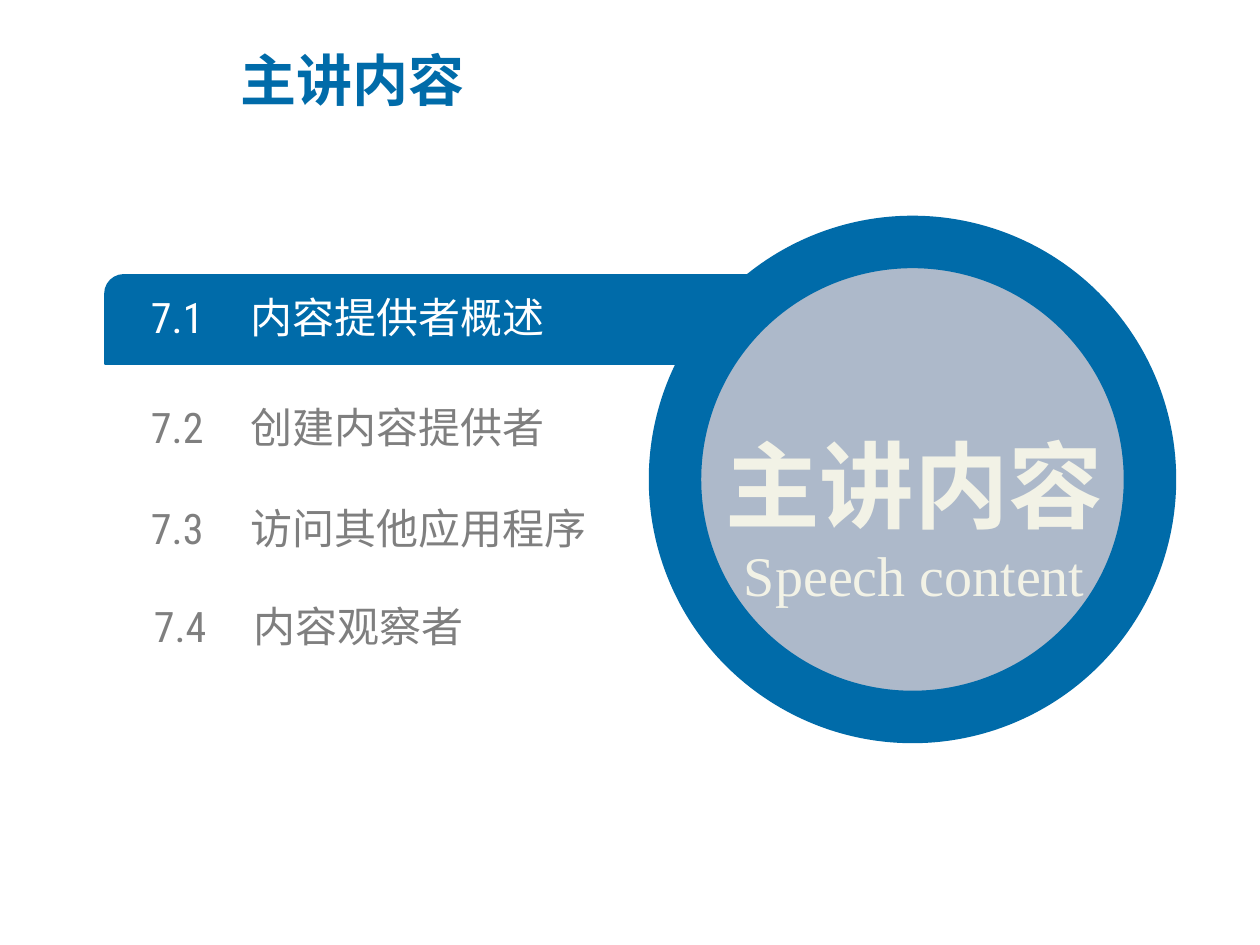
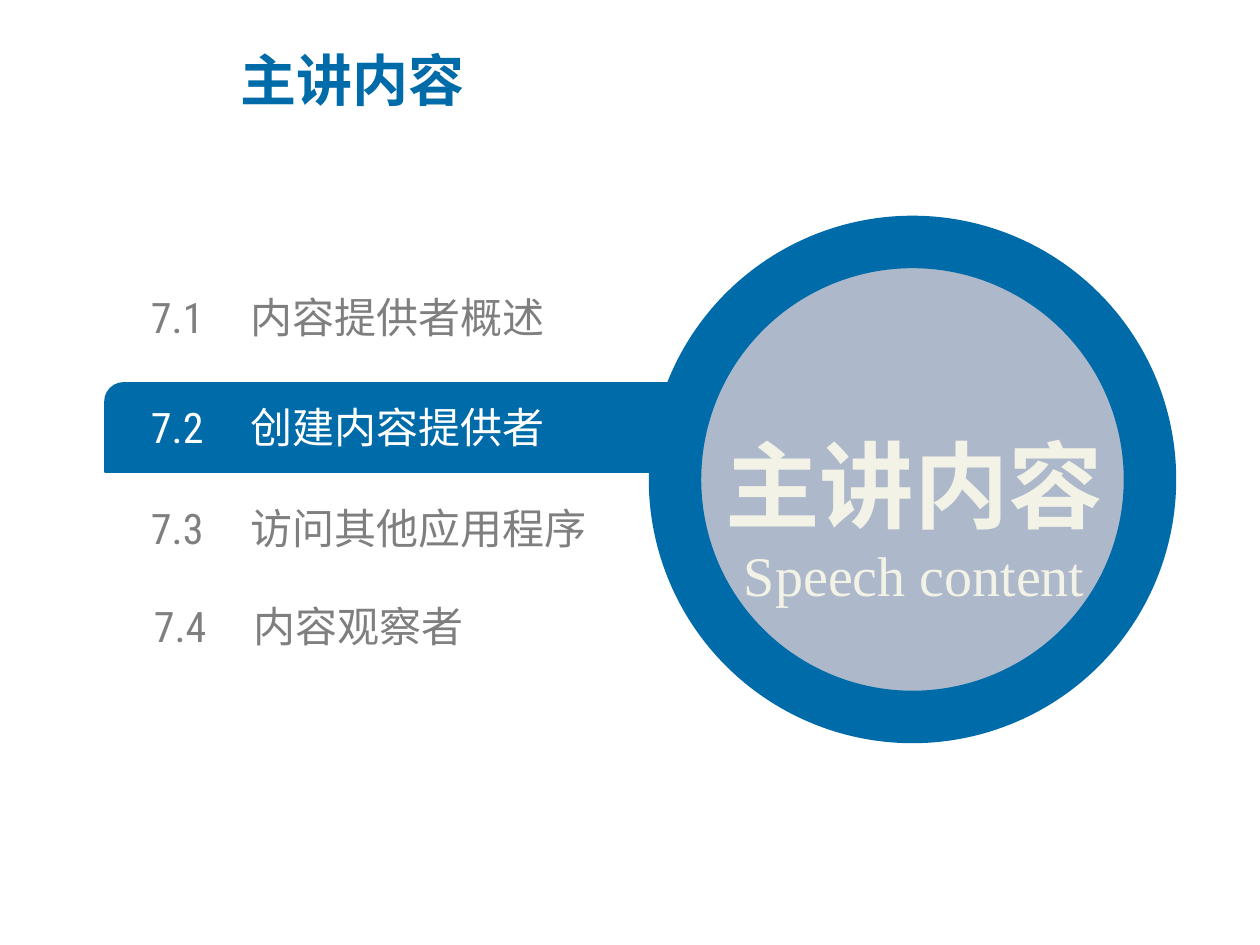
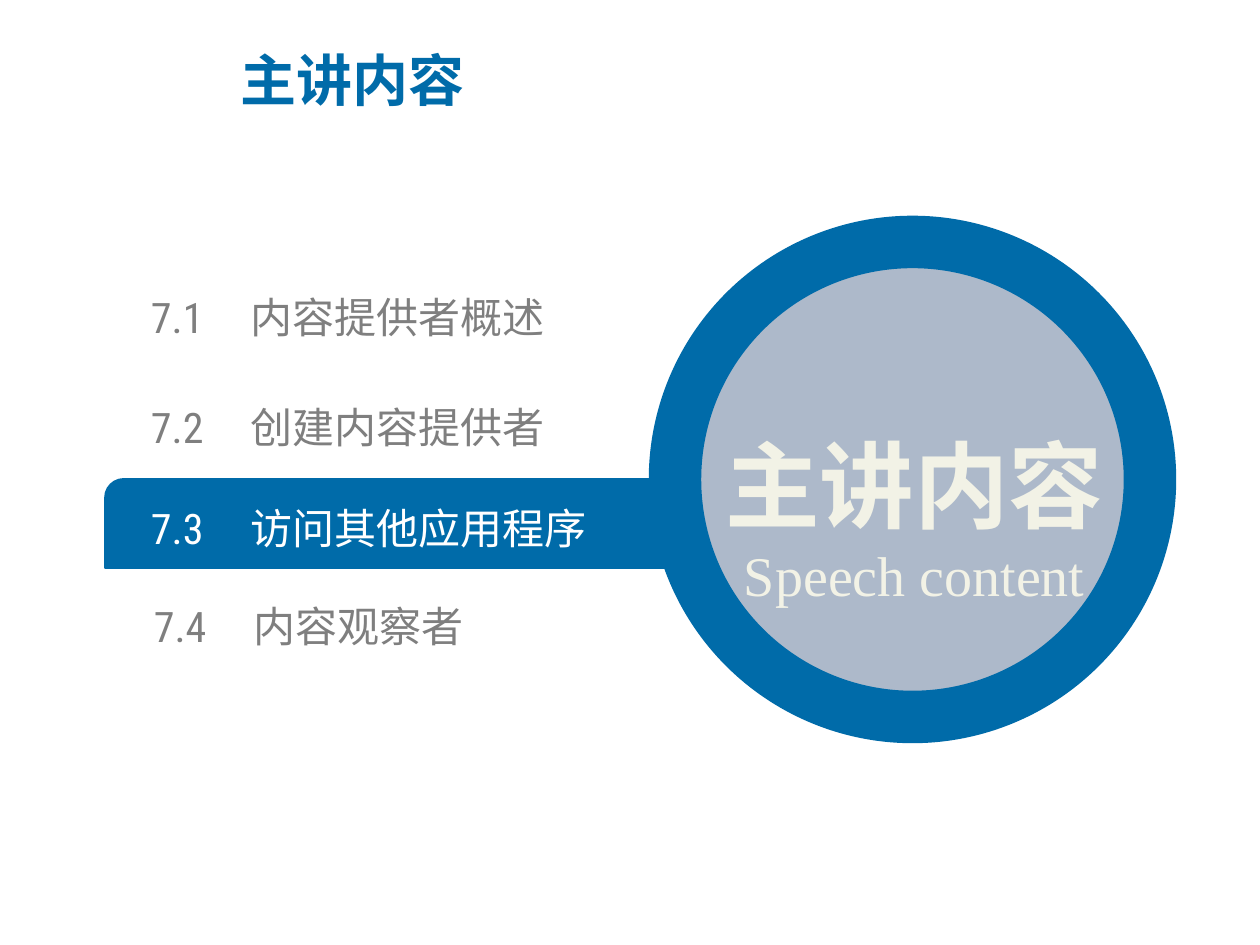
from lxml import etree
from pptx import Presentation, util as u
from pptx.dml.color import RGBColor
from pptx.enum import shapes, text
from pptx.oxml.ns import qn

BLUE, GREY, WHITE = "006BA9", "7F7F7F", "FFFFFF"
DISC, CREAM = "ADB9CA", "F2F2E6"
CJK, CONDENSED, SERIF = "Noto Sans CJK SC", "Roboto Condensed", "Times New Roman"
HEADING = "主讲内容"
SCALE = 914400 / 126


def px(*lengths):
    return [u.Emu(round(length * SCALE)) for length in lengths]


def write(frame, content, size, color, font, bold=False, align=text.PP_ALIGN.LEFT,
          spacing=None, tab=None):
    paragraph = frame.paragraphs[0]
    if paragraph.runs:
        paragraph = frame.add_paragraph()
    paragraph.alignment = align
    if spacing:
        paragraph.line_spacing = spacing
    if tab:
        stops = etree.SubElement(paragraph._p.get_or_add_pPr(), qn("a:tabLst"))
        etree.SubElement(stops, qn("a:tab"), pos=str(px(tab)[0]), algn="l")
    run = paragraph.add_run()
    run.text = content
    run.font.size = u.Pt(size)
    run.font.bold = bold
    run.font.color.rgb = RGBColor.from_string(color)
    run.font.name = font
    etree.SubElement(run.font._element, qn("a:ea"), typeface=CJK)


sections = [
    ("7.1\t内容提供者概述", 151, 292),
    ("7.2\t创建内容提供者", 151, 402),
    ("7.3\t访问其他应用程序", 151, 503),
    ("7.4\t内容观察者", 154, 601),
]
highlight_tops = [275, 383, 479]

deck = Presentation()
deck.slide_width, deck.slide_height = px(1260, 945)

for current, highlight_top in enumerate(highlight_tops):
    slide = deck.slides.add_slide(deck.slide_layouts[5])

    heading = slide.shapes.title
    heading.left, heading.top, heading.width, heading.height = px(228, 26, 709, 106)
    heading.text_frame.vertical_anchor = text.MSO_ANCHOR.MIDDLE
    heading.text_frame.auto_size = text.MSO_AUTO_SIZE.NONE
    write(heading.text_frame, HEADING, size=32, color=BLUE, font=CJK, bold=True)

    highlight = slide.shapes.add_shape(
        shapes.MSO_SHAPE.ROUND_2_DIAG_RECTANGLE, *px(105, highlight_top, 674, 89))
    highlight.adjustments[0] = 0.21
    highlight.adjustments[1] = 0

    for number, (section, left, top) in enumerate(sections):
        entry = slide.shapes.add_textbox(*px(left, top, 528, 50)).text_frame
        entry.margin_left = entry.margin_right = entry.margin_top = entry.margin_bottom = 0
        entry.word_wrap = True
        entry.auto_size = text.MSO_AUTO_SIZE.SHAPE_TO_FIT_TEXT
        entry.vertical_anchor = text.MSO_ANCHOR.MIDDLE
        write(entry, section, size=24, color=WHITE if number == current else GREY,
              font=CONDENSED, tab=100)

    disc = slide.shapes.add_shape(shapes.MSO_SHAPE.OVAL, *px(675, 242, 475, 475))

    for part, fill, line_width in [(highlight, BLUE, 1), (disc, DISC, 30)]:
        part.shadow.inherit = False
        part.fill.solid()
        part.fill.fore_color.rgb = RGBColor.from_string(fill)
        part.line.color.rgb = RGBColor.from_string(BLUE)
        part.line.width = u.Pt(line_width)

    caption = slide.shapes.add_textbox(*px(669, 363, 491, 252)).text_frame
    caption.word_wrap = True
    caption.auto_size = text.MSO_AUTO_SIZE.SHAPE_TO_FIT_TEXT
    caption.vertical_anchor = text.MSO_ANCHOR.MIDDLE
    write(caption, HEADING, size=54, color=CREAM, font=CJK, bold=True,
          align=text.PP_ALIGN.CENTER, spacing=1.5)
    write(caption, "Speech content", size=32, color=CREAM, font=SERIF,
          align=text.PP_ALIGN.CENTER)

deck.save("out.pptx")
